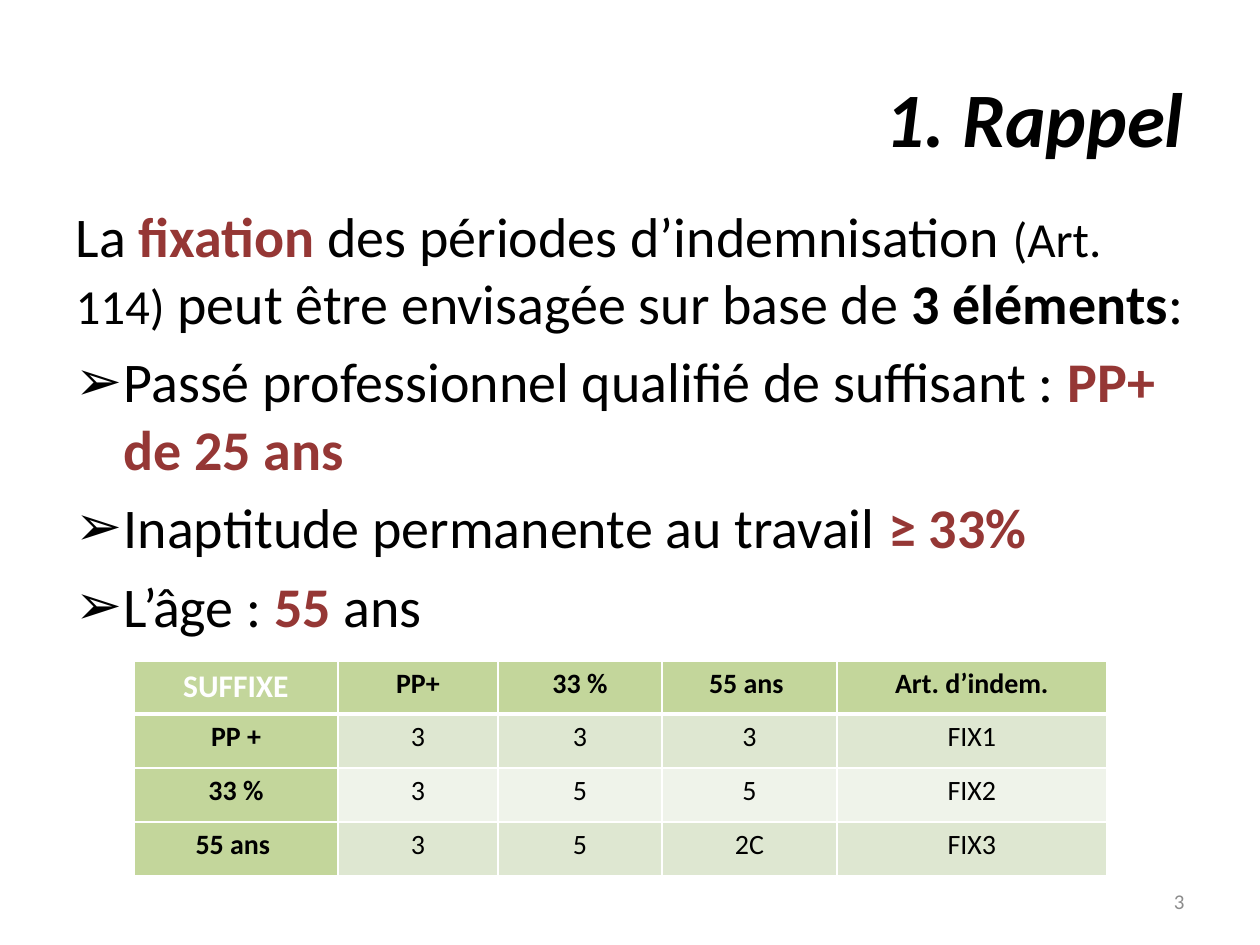
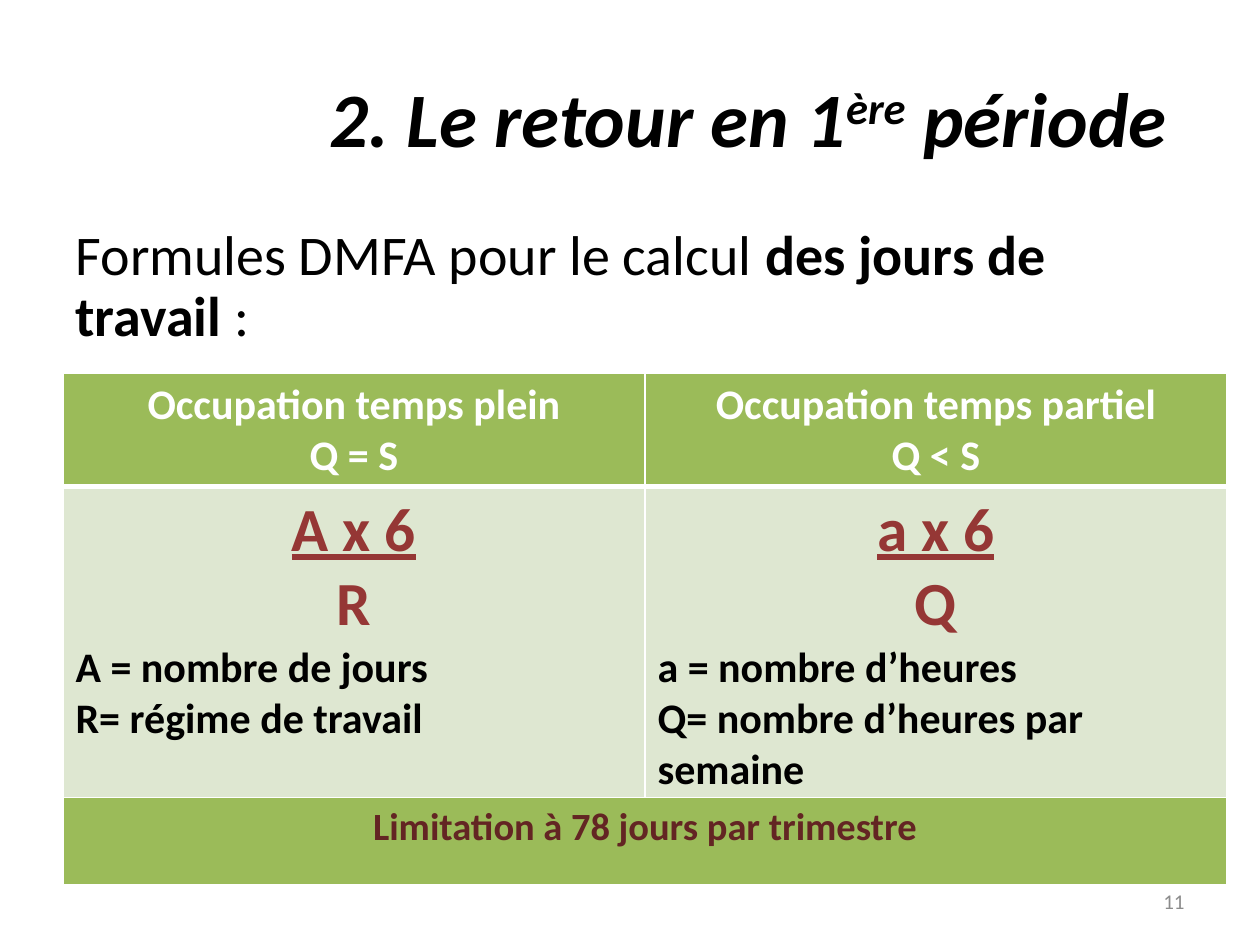
from collections import namedtuple
from dataclasses import dataclass

from lxml import etree
from pptx import Presentation
from pptx.dml.color import RGBColor
from pptx.enum.text import MSO_ANCHOR, MSO_AUTO_SIZE, PP_ALIGN
from pptx.oxml.ns import qn
from pptx.util import Emu, Pt

LEFT, CENTER, RIGHT = PP_ALIGN.LEFT, PP_ALIGN.CENTER, PP_ALIGN.RIGHT
MIDDLE = MSO_ANCHOR.MIDDLE
NO_FIT = MSO_AUTO_SIZE.NONE
TITLE_AND_CONTENT = 1
PX_PER_INCH = 126

Box = namedtuple("Box", "x y w h")


@dataclass(frozen=True)
class Theme:
    font: str = "Calibri"
    ink: str = "000000"
    white: str = "FFFFFF"
    accent: str = "953735"
    limit: str = "632523"
    muted: str = "8C8C8C"
    green: str = "9BBB59"
    soft_green: str = "C3D69B"
    band: str = "DEE7D1"
    pale_band: str = "EFF3EA"
    title_size: int = 44
    body_size: int = 32
    note_size: int = 28
    formula_size: int = 35
    heading_size: int = 24
    limit_size: int = 22
    corner_size: int = 18
    cell_size: int = 16
    number_size: int = 12


T = Theme()
SLIDE = Box(0, 0, 1260, 945)
MARGIN = 63
INDENT = 48
STRONG = dict(bold=True)
KEY = dict(bold=True, color=T.accent)


def px(n):
    return Emu(round(n * 914400 / PX_PER_INCH))


def place(sp, box):
    sp.left, sp.top, sp.width, sp.height = map(px, box)


def add_run(p, text, size=T.body_size, color=T.ink, bold=False, italic=False,
            underline=False, baseline=0):
    r = p.add_run()
    r.text = text
    f = r.font
    f.name, f.size, f.color.rgb = T.font, Pt(size), RGBColor.from_string(color)
    f.bold, f.italic, f.underline = bold, italic, underline
    if baseline:
        r._r.get_or_add_rPr().set("baseline", str(baseline * 1000))


def add_paragraph(tf, index, runs, align=LEFT, **fmt):
    p = tf.add_paragraph() if index else tf.paragraphs[0]
    p.alignment = align
    if index == 0:
        p.space_before = Pt(0)
    for text, extra in runs:
        add_run(p, text, **{**fmt, **extra})
    return p


def set_bullet(p, char):
    pPr = p._p.get_or_add_pPr()
    indent = px(INDENT) if char else 0
    pPr.set("marL", str(indent))
    pPr.set("indent", str(-indent))
    if char:
        etree.SubElement(pPr, qn("a:buChar")).set("char", char)
    else:
        etree.SubElement(pPr, qn("a:buNone"))


def add_title(s, box, runs):
    sp = s.shapes.title
    place(sp, box)
    tf = sp.text_frame
    tf.auto_size, tf.vertical_anchor = NO_FIT, MIDDLE
    add_paragraph(tf, 0, runs, RIGHT, size=T.title_size, bold=True, italic=True)


def add_body(s, box, paragraphs, line_spacing=None):
    sp = s.placeholders[1]
    place(sp, box)
    tf = sp.text_frame
    tf.auto_size = NO_FIT
    for i, (bullet, runs) in enumerate(paragraphs):
        p = add_paragraph(tf, i, [])
        set_bullet(p, bullet)
        p.line_spacing = line_spacing
        for text, fmt in runs:
            add_run(p, text, **fmt)


def add_number(s, box, number):
    tf = s.shapes.add_textbox(*map(px, box)).text_frame
    tf.word_wrap, tf.vertical_anchor = True, MIDDLE
    add_paragraph(tf, 0, [(number, {})], RIGHT, size=T.number_size, color=T.muted)


def set_borders(cell, bottom=1):
    tcPr = cell._tc.get_or_add_tcPr()
    for i, (side, width) in enumerate(zip("LRTB", (1, 1, 1, bottom))):
        ln = etree.Element(qn(f"a:ln{side}"), w=str(Pt(width)))
        fill = etree.SubElement(ln, qn("a:solidFill"))
        etree.SubElement(fill, qn("a:srgbClr")).set("val", T.white)
        tcPr.insert(i, ln)


def add_grid(s, x, y, cols, rows):
    box = Box(x, y, sum(cols), sum(rows))
    table = s.shapes.add_table(len(rows), len(cols), *map(px, box)).table
    table.horz_banding = False
    for col, w in zip(table.columns, cols):
        col.width = px(w)
    for row, h in zip(table.rows, rows):
        row.height = px(h)
    return table


def fill_cell(cell, fill, lines, bottom=1):
    cell.fill.solid()
    cell.fill.fore_color.rgb = RGBColor.from_string(fill)
    set_borders(cell, bottom)
    for i, (text, fmt) in enumerate(lines):
        add_paragraph(cell.text_frame, i, [(text, {})], **{"align": CENTER, **fmt})


def add_suffix_table(s, x, y):
    data = [
        ["SUFFIXE", "PP+", "33 %", "55 ans ", "Art. d’indem."],
        ["PP +", "3", "3", "3", "FIX1"],
        ["33 %", "3", "5", "5", "FIX2"],
        ["55 ans ", "3", "5", "2C", "FIX3"],
    ]
    table = add_grid(s, x, y, [204, 160, 164, 175, 270], [53, 54, 54, 54])
    for i, row in enumerate(data):
        for j, text in enumerate(row):
            head = i == 0 or j == 0
            fmt = dict(size=T.cell_size, bold=head)
            if i == j == 0:
                fmt.update(size=T.corner_size, color=T.white)
            fill = T.soft_green if head else T.band if i % 2 else T.pale_band
            fill_cell(table.cell(i, j), fill, [(text, fmt)], 1 if i else 3)


def add_formula_table(s, x, y):
    columns = [
        (["Occupation temps plein", "Q = S"], "A x 6", "R",
         ["A = nombre de jours", "R= régime de travail"]),
        (["Occupation temps partiel", "Q < S"], "a x 6", "Q",
         ["a = nombre d’heures", "Q= nombre d’heures par semaine"]),
    ]
    table = add_grid(s, x, y, [582, 582], [110, 300, 87])
    heading = dict(size=T.heading_size, color=T.white, bold=True)
    formula = dict(size=T.formula_size, **KEY)
    legend = dict(size=T.heading_size, bold=True, align=LEFT)
    for j, (titles, top, bottom, notes) in enumerate(columns):
        fill_cell(table.cell(0, j), T.green, [(t, heading) for t in titles], 3)
        lines = [(top, dict(formula, underline=True)), (bottom, formula)]
        fill_cell(table.cell(1, j), T.band, lines + [(n, legend) for n in notes])
    table.cell(2, 0).merge(table.cell(2, 1))
    limit = dict(size=T.limit_size, color=T.limit, bold=True)
    fill_cell(table.cell(2, 0), T.green,
              [("Limitation à 78 jours par trimestre", limit)])


def add_slide(prs, box, title, number):
    s = prs.slides.add_slide(prs.slide_layouts[TITLE_AND_CONTENT])
    add_title(s, Box(box.x + MARGIN, box.y + 38, box.w - 2 * MARGIN, 158), title)
    add_number(s, Box(box.x + box.w - MARGIN - 294, box.y + 876, 294, 50), number)
    return s


def build_recall(prs, box):
    s = add_slide(prs, box, [("1. Rappel", {})], "3")
    add_body(s, Box(box.x + MARGIN, box.y + 195, box.w - 2 * MARGIN, 649), [
        (None, [("La ", {}), ("fixation", KEY),
                (" des périodes d’indemnisation ", {}),
                ("(Art. 114)", dict(size=T.note_size)),
                (" peut être envisagée sur base de ", {}),
                ("3 éléments", STRONG), (":", {})]),
        ("➢", [("Passé professionnel qualifié de suffisant : ", {}),
               ("PP+ de 25 ans", KEY)]),
        ("➢", [("Inaptitude permanente au travail ", {}), ("≥ 33%", KEY)]),
        ("➢", [("L’âge : ", {}), ("55 ", KEY), ("ans", {})]),
    ])
    add_suffix_table(s, box.x + 134, box.y + 661)


def build_return(prs, box):
    title = [("2. Le retour en 1", {}), ("ère", dict(baseline=30)), (" période ", {})]
    s = add_slide(prs, box, title, "11")
    add_body(s, Box(box.x + MARGIN, box.y + 221, box.w - 2 * MARGIN, 624), [
        (None, [("Formules DMFA pour le calcul ", {}),
                ("des jours de travail ", STRONG), (":", {})]),
    ], line_spacing=0.9)
    add_formula_table(s, box.x + MARGIN, box.y + 373)


def main():
    prs = Presentation()
    prs.slide_width, prs.slide_height = px(SLIDE.w), px(SLIDE.h)
    build_recall(prs, SLIDE)
    build_return(prs, SLIDE)
    prs.save("out.pptx")


if __name__ == "__main__":
    main()
